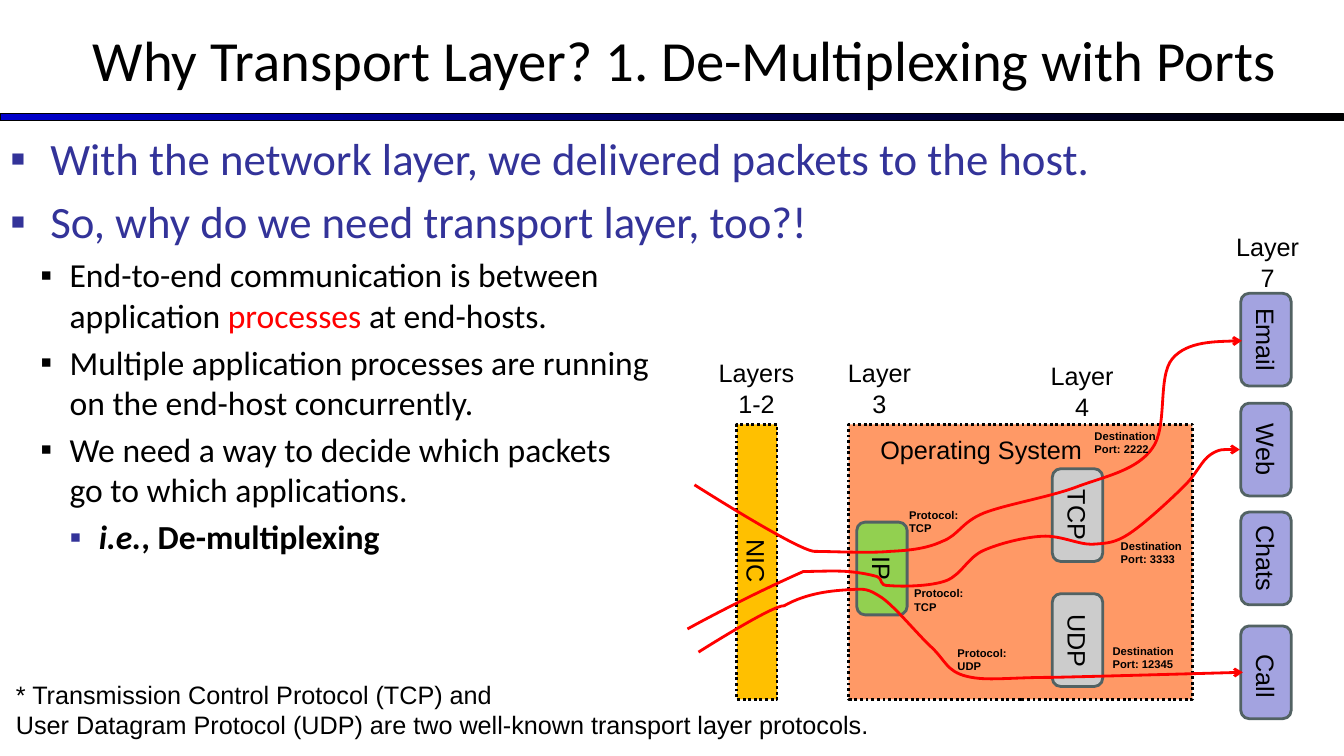
from copy import deepcopy

from lxml.etree import SubElement
from pptx import Presentation
from pptx.dml.color import RGBColor
from pptx.enum.dml import MSO_LINE
from pptx.enum.shapes import MSO_SHAPE as SHAPE
from pptx.enum.text import MSO_ANCHOR as ANCHOR, MSO_AUTO_SIZE as AUTO_SIZE, PP_ALIGN as ALIGN
from pptx.oxml.ns import qn
from pptx.util import Inches, Pt

BLACK = RGBColor(0x00, 0x00, 0x00)
BLUE = RGBColor(0x00, 0x00, 0xCC)
INDIGO = RGBColor(0x33, 0x33, 0x99)
RED = RGBColor(0xFF, 0x00, 0x00)
ORANGE = RGBColor(0xFF, 0x99, 0x66)
AMBER = RGBColor(0xFF, 0xC0, 0x00)
GREEN = RGBColor(0x92, 0xD0, 0x50)
GRAY = RGBColor(0xCC, 0xCC, 0xCC)
LAVENDER = RGBColor(0xA3, 0xA3, 0xE0)
SLATE = RGBColor(0x52, 0x62, 0x63)


def write(paragraph, text, size=18, font="Arial", color=BLACK, bold=False, italic=False):
    """Append text to a paragraph; a vertical tab breaks the line."""
    for index, line in enumerate(text.split("\v")):
        if index:
            paragraph.add_line_break()
            paragraph._p[-1].append(deepcopy(run._r.rPr))
        run = paragraph.add_run()
        run.text = line
        run.font.size, run.font.name = Pt(size), font
        run.font.bold, run.font.italic = bold, italic
        run.font.color.rgb = color


def add_label(text, left, top, width, height, align=ALIGN.LEFT, rotation=0, **style):
    """Add a text box with one paragraph per line of text."""
    box = slide.shapes.add_textbox(Inches(left), Inches(top), Inches(width), Inches(height))
    box.rotation = rotation
    frame = box.text_frame
    frame.word_wrap = True
    for index, line in enumerate(text.split("\n")):
        paragraph = frame.add_paragraph() if index else frame.paragraphs[0]
        paragraph.alignment = align
        write(paragraph, line, **style)


presentation = Presentation()
slide_width = Inches(40) // 3
presentation.slide_width, presentation.slide_height = slide_width, Inches(7.5)
slide = presentation.slides.add_slide(presentation.slide_layouts[1])

# Gradient rule under the title
rule = slide.shapes.add_shape(SHAPE.RECTANGLE, Inches(0), Inches(1.13), slide_width, Inches(0.07))
rule.shadow.inherit = False
rule.fill.gradient()
rule.fill.gradient_angle = 0
for stop, color in zip(rule.fill.gradient_stops, (BLUE, BLACK)):
    stop.color.rgb = color
rule.line.color.rgb, rule.line.width = BLACK, Pt(0.75)

# Title
title = slide.shapes.title
title.left, title.top, title.width, title.height = Inches(0), Inches(0), slide_width, Inches(1.17)
frame = title.text_frame
frame.auto_size, frame.vertical_anchor = AUTO_SIZE.NONE, ANCHOR.MIDDLE
frame.paragraphs[0].alignment = ALIGN.CENTER
frame.paragraphs[0]._p.get_or_add_pPr().set("marL", str(Inches(0.26)))
write(frame.paragraphs[0], "Why Transport Layer? 1. De-Multiplexing with Ports", size=40.5, font="Calibri")

# Bulleted list
body = slide.placeholders[1]
body.left, body.top, body.width, body.height = Inches(0), Inches(1.25), Inches(12.77), Inches(6)
body.text_frame.auto_size = AUTO_SIZE.NONE
level_formats = [  # left margin, hanging indent, bullet color, text size, text color
    (0.4, 0.4, INDIGO, 32, INDIGO),
    (0.59, 0.29, BLACK, 24, BLACK),
    (0.88, 0.29, INDIGO, 24, BLACK),
]
bullets = [
    (0, [("With the network layer, we delivered packets to the host.", {})]),
    (0, [("So, why do we need transport layer, too?!", {})]),
    (1, [("End-to-end communication is between \vapplication ", {}),
         ("processes", {"color": RED}), (" at end-hosts.", {})]),
    (1, [("Multiple application processes are running\von the end-host concurrently.", {})]),
    (1, [("We need a way to decide which packets \vgo to which applications.", {})]),
    (2, [("i.e.", {"bold": True, "italic": True}), (", De-multiplexing", {"bold": True})]),
]
for index, (level, runs) in enumerate(bullets):
    margin, hanging, bullet_color, size, color = level_formats[level]
    paragraph = body.text_frame.add_paragraph() if index else body.text_frame.paragraphs[0]
    paragraph.level = level
    properties = paragraph._p.get_or_add_pPr()
    properties.set("marL", str(Inches(margin)))
    properties.set("indent", str(-Inches(hanging)))
    SubElement(SubElement(properties, qn("a:buClr")), qn("a:srgbClr")).set("val", str(bullet_color))
    SubElement(properties, qn("a:buFont")).set("typeface", "Arial")
    SubElement(properties, qn("a:buChar")).set("char", "▪")
    for text, changes in runs:
        write(paragraph, text, **{"size": size, "font": "Calibri", "color": color, **changes})

# Dotted areas: operating system and network card
for left, width, color in [(8.42, 3.41, ORANGE), (7.31, 0.4, AMBER)]:
    area = slide.shapes.add_shape(SHAPE.RECTANGLE, Inches(left), Inches(4.21), Inches(width), Inches(2.73))
    area.shadow.inherit = False
    area.fill.solid()
    area.fill.fore_color.rgb = color
    area.line.color.rgb, area.line.width = BLACK, Pt(2)
    area.line.dash_style = MSO_LINE.ROUND_DOT
add_label("Operating System", 8.62, 4.26, 2.23, 0.4, ALIGN.CENTER)
add_label("NIC", 7.15, 5.41, 0.71, 0.4, rotation=90)

# Layer headings
for text, left, top, width in [
    ("Layers\n1-2", 6.97, 3.5, 1.07),
    ("Layer\n3", 8.3, 3.5, 0.85),
    ("Layer\n4", 10.31, 3.53, 0.85),
    ("Layer\n7", 12.15, 2.25, 0.85),
]:
    add_label(text, left, top, width, 0.71, ALIGN.CENTER)

# Protocols and applications, each with a rotated name
node_width, node_height, name_height = 0.5, 0.92, 0.4
for name, left, top, color, name_top, name_width in [
    ("IP", 8.5, 5.18, GREEN, 5.44, 0.92),
    ("TCP", 10.44, 4.65, GRAY, 4.91, 0.92),
    ("UDP", 10.44, 5.89, GRAY, 6.16, 0.87),
    ("Email", 12.31, 2.91, LAVENDER, 3.17, 0.92),
    ("Web", 12.31, 4, LAVENDER, 4.26, 0.92),
    ("Chats", 12.31, 5.08, LAVENDER, 5.34, 1.08),
    ("Call", 12.31, 6.21, LAVENDER, 6.51, 0.92),
]:
    node = slide.shapes.add_shape(
        SHAPE.ROUNDED_RECTANGLE, Inches(left), Inches(top), Inches(node_width), Inches(node_height))
    node.shadow.inherit = False
    node.fill.solid()
    node.fill.fore_color.rgb = color
    node.line.color.rgb, node.line.width = SLATE, Pt(2)
    add_label(name, left + (node_width - name_width) / 2, name_top,
              name_width, name_height, ALIGN.CENTER, rotation=90)

# Packet flows: a start point, then two control points and an end point per curve
flows = [
    [(6.89, 4.81), (6.89, 4.81), (7.91, 5.46), (8.08, 5.47), (8.25, 5.47), (8.62, 5.49), (8.83, 5.47),
     (9.04, 5.46), (9.2, 5.44), (9.35, 5.37), (9.51, 5.31), (9.54, 5.18), (9.76, 5.09),
     (9.99, 5), (10.43, 4.93), (10.71, 4.82), (10.99, 4.72), (11.28, 4.66), (11.43, 4.45),
     (11.59, 4.24), (11.48, 3.74), (11.63, 3.56), (11.78, 3.38), (12.32, 3.38), (12.32, 3.38)],
    [(6.82, 6.24), (6.82, 6.24), (7.34, 5.95), (7.97, 5.67), (8.08, 5.67), (8.28, 5.66), (8.41, 5.67),
     (8.53, 5.68), (8.63, 5.7), (8.7, 5.72), (8.77, 5.75), (8.71, 5.81), (8.82, 5.81),
     (8.94, 5.82), (9.23, 5.82), (9.39, 5.76), (9.54, 5.7), (9.6, 5.53), (9.76, 5.46),
     (9.92, 5.39), (10.16, 5.33), (10.34, 5.32), (10.52, 5.31), (10.69, 5.4), (10.83, 5.4),
     (10.98, 5.39), (11.06, 5.39), (11.21, 5.29), (11.36, 5.19), (11.62, 4.95), (11.75, 4.82),
     (11.88, 4.69), (11.92, 4.57), (12.01, 4.51), (12.1, 4.45), (12.2, 4.46), (12.3, 4.46)],
    [(6.93, 6.47), (6.93, 6.47), (7.67, 6), (7.78, 6.01), (8.01, 5.88), (8.26, 5.86), (8.43, 5.85),
     (8.59, 5.84), (8.61, 5.84), (8.75, 5.93), (8.89, 6.03), (9.1, 6.29), (9.24, 6.42),
     (9.38, 6.55), (9.39, 6.66), (9.59, 6.71), (9.79, 6.76), (10, 6.72), (10.45, 6.72),
     (10.91, 6.71), (11.62, 6.69), (12.33, 6.67)],
]
for points in flows:
    points = [(Inches(x), Inches(y)) for x, y in points]
    builder = slide.shapes.build_freeform(*points[0])
    builder.add_line_segments(points[3::3], close=False)
    flow = builder.convert_to_shape()
    # Bend each segment with its two control points
    for index, segment in enumerate(list(flow._element.iter(qn("a:lnTo")))):
        segment.tag = qn("a:cubicBezTo")
        segment.remove(segment[0])
        for x, y in points[3 * index + 1:3 * index + 4]:
            point = SubElement(segment, qn("a:pt"))
            point.set("x", str(x - flow.left))
            point.set("y", str(y - flow.top))
    flow.shadow.inherit = False
    flow.fill.background()
    flow.line.color.rgb, flow.line.width = RED, Pt(2)
    SubElement(flow.line._get_or_add_ln(), qn("a:tailEnd")).set("type", "arrow")

# Header field notes along the flows
for text, left, top, width in [
    ("Protocol: TCP", 8.92, 4.99, 0.75),
    ("Protocol: TCP", 8.97, 5.77, 0.75),
    ("Protocol: UDP", 9.4, 6.36, 0.75),
    ("Destination\vPort: 12345", 10.94, 6.34, 0.9),
    ("Destination\vPort: 3333", 11.02, 5.3, 0.9),
    ("Destination\vPort: 2222", 10.76, 4.21, 0.9),
]:
    add_label(text, left, top, width, 0.37, size=8, bold=True)

# Footnote
add_label("* Transmission Control Protocol (TCP) and \v"
          "User Datagram Protocol (UDP) are two well-known transport layer protocols.",
          0.06, 6.69, 9.31, 0.71)

presentation.save("out.pptx")
